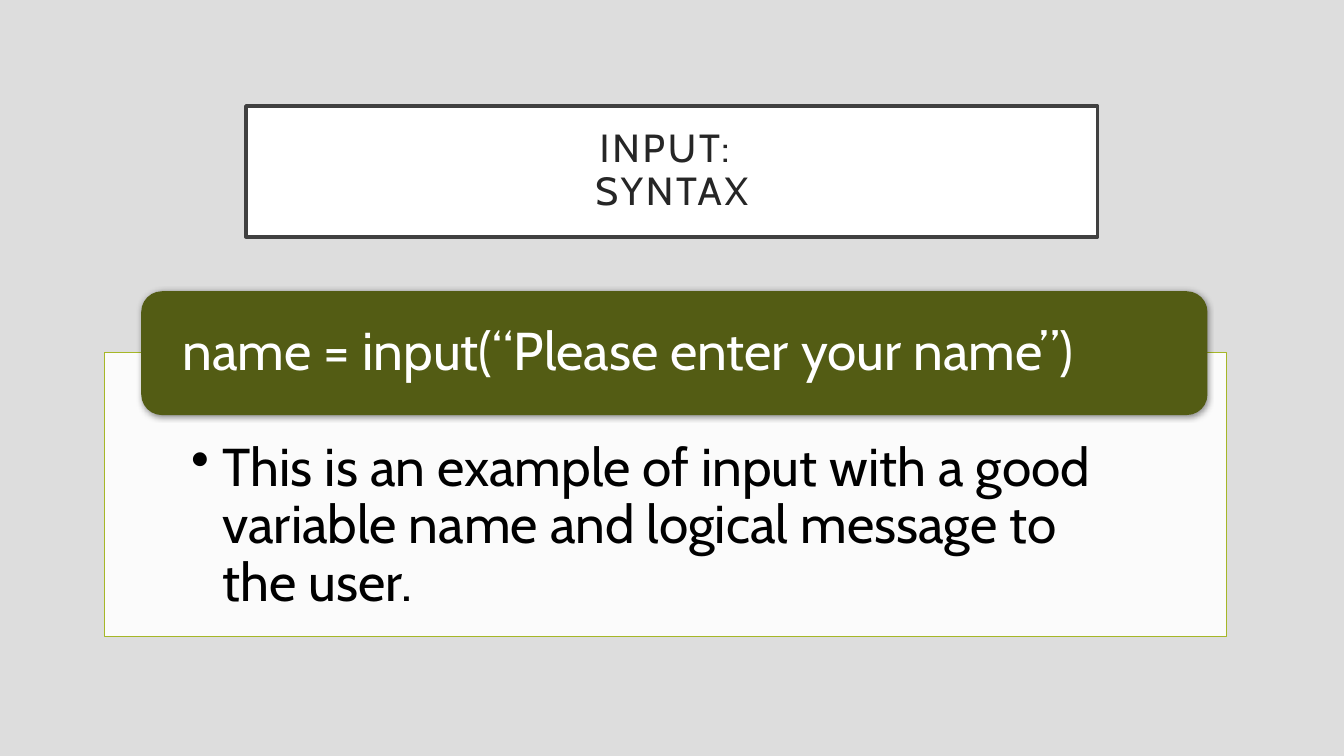
from lxml import etree
from pptx import Presentation
from pptx.dml.color import RGBColor
from pptx.enum.shapes import MSO_SHAPE
from pptx.enum.text import MSO_ANCHOR, PP_ALIGN
from pptx.oxml.ns import qn
from pptx.util import Cm, Pt


def color(value):
    return RGBColor.from_string(value)


def child(parent, tag, **attributes):
    return etree.SubElement(parent, qn(tag), {k: str(v) for k, v in attributes.items()})


class SlideBuilder:
    font = "Cabin"
    line_spacing = 0.9

    def __init__(self, presentation, background):
        self.slide = presentation.slides.add_slide(presentation.slide_layouts[6])
        self.slide.background.fill.solid()
        self.slide.background.fill.fore_color.rgb = color(background)

    def box(self, kind, place, fill, line=None, width=0, opacity=100):
        shape = self.slide.shapes.add_shape(kind, *map(Cm, place))
        shape.shadow.inherit = False
        shape.fill.solid()
        shape.fill.fore_color.rgb = color(fill)
        if opacity < 100:
            tint = next(shape.fill._xPr.iter(qn("a:srgbClr")))
            child(tint, "a:alpha", val=opacity * 1000)
        if line:
            shape.line.color.rgb = color(line)
            shape.line.width = Pt(width)
        else:
            shape.line.fill.background()
        return shape

    def shadow(self, shape, blur, distance, opacity):
        effects = shape._element.spPr.find(qn("a:effectLst"))
        outer = child(effects, "a:outerShdw", blurRad=Pt(blur), dist=Pt(distance),
                      dir=90 * 60000, rotWithShape=0)
        child(child(outer, "a:srgbClr", val="000000"), "a:alpha", val=opacity * 1000)

    def text(self, shape, words, size, ink, insets, align=PP_ALIGN.LEFT,
             anchor=MSO_ANCHOR.MIDDLE, spacing=0):
        frame = shape.text_frame
        frame.word_wrap = True
        frame.vertical_anchor = anchor
        (frame.margin_left, frame.margin_top,
         frame.margin_right, frame.margin_bottom) = map(Cm, insets)
        paragraph = frame.paragraphs[0]
        paragraph.text = words
        paragraph.alignment = align
        paragraph.line_spacing = self.line_spacing
        for run in paragraph.runs:
            run.font.name = self.font
            run.font.size = Pt(size)
            run.font.color.rgb = color(ink)
            if spacing:
                run._r.get_or_add_rPr().set("spc", str(spacing * 100))
        return paragraph

    def bullet(self, paragraph, indent):
        properties = paragraph._p.get_or_add_pPr()
        properties.set("marL", str(Cm(indent)))
        properties.set("indent", str(-Cm(indent)))
        child(properties, "a:buChar", char="•")


presentation = Presentation()
presentation.slide_width = Cm(33.87)
presentation.slide_height = Cm(19.05)
builder = SlideBuilder(presentation, "DDDDDD")

title = builder.box(MSO_SHAPE.RECTANGLE, (6.2, 2.67, 21.46, 3.3), "FFFFFF", "404040", 2.5)
builder.text(title, "INPUT: \vSYNTAX", 28, "262626", [0.51] * 4,
             align=PP_ALIGN.CENTER, spacing=2)

panel = builder.box(MSO_SHAPE.RECTANGLE, (2.64, 8.89, 28.27, 7.14), "FFFFFF",
                    "A6B727", 0.5, opacity=90)
explanation = builder.text(
    panel, "This is an example of input with a good variable name and logical message to the user.",
    38, "000000", (2.18, 2.21, 2.18, 0.76), anchor=MSO_ANCHOR.TOP)
builder.bullet(explanation, 0.79)

code = builder.box(MSO_SHAPE.ROUNDED_RECTANGLE, (3.56, 7.34, 26.87, 3.12), "535C14")
builder.shadow(code, blur=4.4, distance=1.2, opacity=45)
builder.text(code, "name = input(“Please enter your name”)", 38, "FFFFFF", (0.89, 0, 0.89, 0))

presentation.save("out.pptx")
